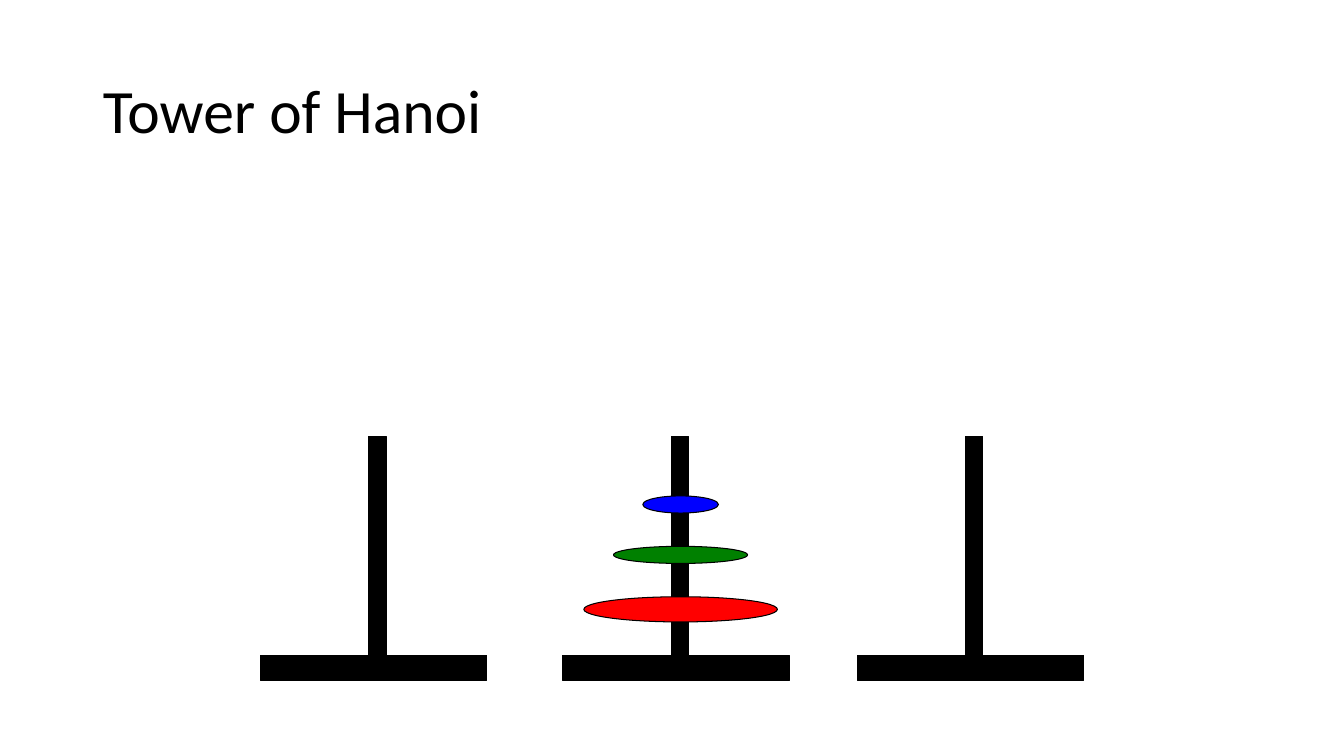
"""Build the Tower of Hanoi slide with three pegs and three stacked discs."""
from pptx import Presentation
from pptx.dml.color import RGBColor
from pptx.enum.shapes import MSO_SHAPE
from pptx.enum.text import MSO_ANCHOR, PP_ALIGN
from pptx.util import Inches, Pt

BLACK = "000000"
BASE_LEFTS = (2.58, 5.58, 8.5)
DISC_CENTRE = 6.75
DISCS = (
    (1.92, 5.92, 0.25, "FF0000"),
    (1.33, 5.42, 0.17, "008000"),
    (0.75, 4.92, 0.17, "0000FF"),
)


def color(value):
    return RGBColor.from_string(value)


def write(frame, text, size=44, font="Calibri", fill=BLACK, spacing=0.9):
    frame.word_wrap = True
    frame.vertical_anchor = MSO_ANCHOR.MIDDLE
    para = frame.paragraphs[0]
    para.alignment = PP_ALIGN.LEFT
    para.line_spacing = spacing
    span = para.add_run()
    span.text = text
    span.font.size = Pt(size)
    span.font.name = font
    span.font.color.rgb = color(fill)


class Board:
    def __init__(self, page, outline=BLACK, weight=0.75):
        self.page = page
        self.outline = outline
        self.weight = weight

    def title(self, text, left, top, width, height):
        box = self.page.shapes.title
        box.left, box.top = Inches(left), Inches(top)
        box.width, box.height = Inches(width), Inches(height)
        write(box.text_frame, text)

    def shape(self, shapes, kind, left, top, width, height, fill):
        shape = shapes.add_shape(
            kind, Inches(left), Inches(top), Inches(width), Inches(height)
        )
        shape.shadow.inherit = False
        shape.fill.solid()
        shape.fill.fore_color.rgb = color(fill)
        shape.line.color.rgb = color(self.outline)
        shape.line.width = Pt(self.weight)

    def peg(self, left):
        shapes = self.page.shapes.add_group_shape().shapes
        self.shape(shapes, MSO_SHAPE.RECTANGLE, left, 6.5, 2.25, 0.25, BLACK)
        self.shape(shapes, MSO_SHAPE.RECTANGLE, left + 1.08, 4.33, 0.17, 2.17, BLACK)

    def disc(self, width, top, height, fill):
        left = DISC_CENTRE - width / 2
        self.shape(self.page.shapes, MSO_SHAPE.OVAL, left, top, width, height, fill)


def main():
    deck = Presentation()
    deck.slide_width, deck.slide_height = Inches(13.33), Inches(7.5)
    board = Board(deck.slides.add_slide(deck.slide_layouts[5]))
    board.title("Tower of Hanoi", 0.92, 0.4, 11.5, 1.45)
    for left in BASE_LEFTS:
        board.peg(left)
    for disc in DISCS:
        board.disc(*disc)
    deck.save("out.pptx")


if __name__ == "__main__":
    main()
